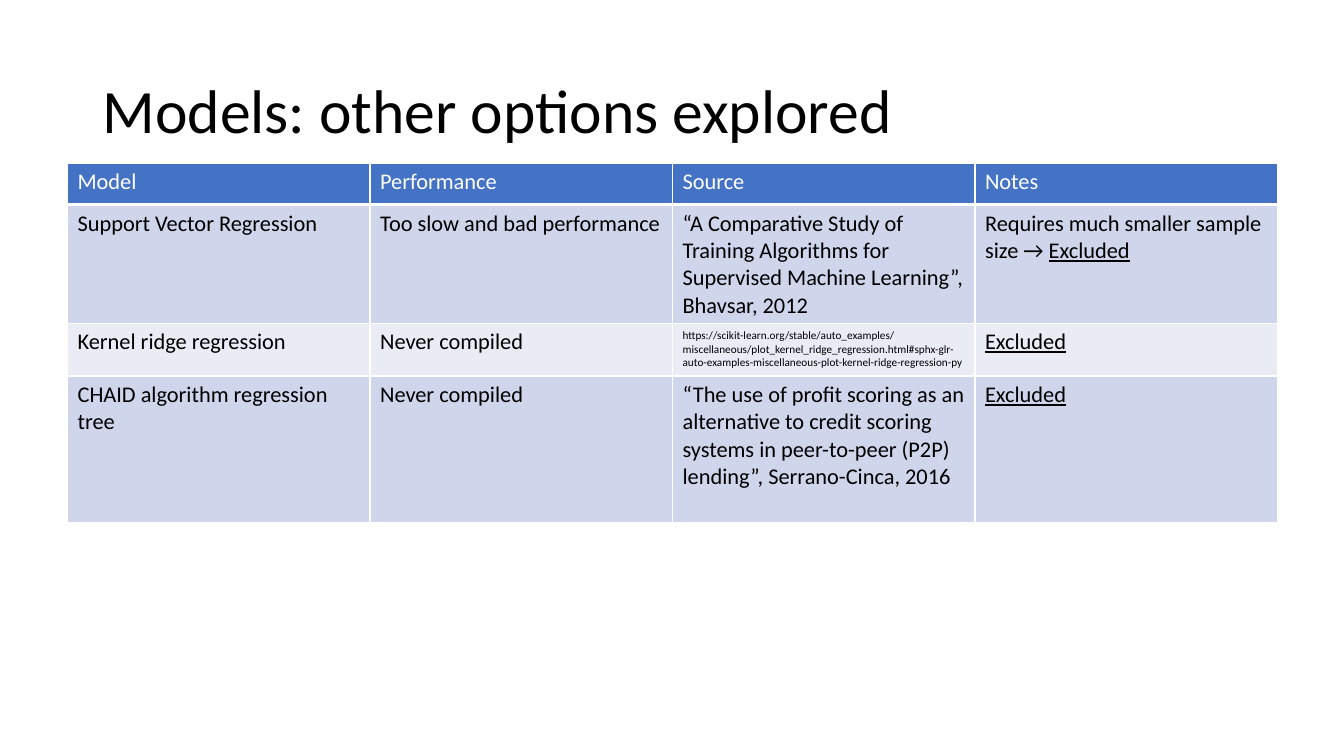
from dataclasses import dataclass

from lxml import etree
from pptx import Presentation
from pptx import util as u
from pptx.dml.color import RGBColor
from pptx.enum import text
from pptx.oxml import ns


@dataclass(frozen=True)
class Theme:
    font: str = "Calibri"
    ink: str = "000000"
    paper: str = "FFFFFF"
    header: str = "4472C4"
    bands: tuple = ("CFD5EA", "E9EBF5")
    title_size: int = 44
    body_size: int = 16
    link_size: int = 8
    rule: int = 1
    header_rule: int = 3


class Deck:
    """Holds the theme and the current slide; lengths are shares of the slide."""

    def __init__(self, theme, width=13.33, height=7.5):
        self.theme = theme
        self.file = Presentation()
        self.file.slide_width = u.Inches(width)
        self.file.slide_height = u.Inches(height)
        self.slide = self.file.slides.add_slide(self.file.slide_layouts[6])

    def across(self, share):
        return round(self.file.slide_width * share)

    def down(self, share):
        return round(self.file.slide_height * share)

    def style(self, paragraph, size, color):
        font = paragraph.font
        font.name, font.size, font.bold = self.theme.font, u.Pt(size), False
        font.color.rgb = RGBColor.from_string(color)

    def title(self, wording, left, top, width, height):
        box = self.slide.shapes.add_textbox(
            self.across(left), self.down(top), self.across(width), self.down(height))
        frame = box.text_frame
        frame.word_wrap = True
        frame.vertical_anchor = text.MSO_ANCHOR.MIDDLE
        heading = frame.paragraphs[0]
        heading.text = wording
        heading.line_spacing = 0.9
        self.style(heading, self.theme.title_size, self.theme.ink)

    def borders(self, cell, bottom):
        properties = cell._tc.get_or_add_tcPr()
        rule = self.theme.rule
        for side, points in (("L", rule), ("R", rule), ("T", rule), ("B", bottom)):
            line = etree.SubElement(properties, ns.qn(f"a:ln{side}"), w=str(u.Pt(points)))
            paint = etree.SubElement(line, ns.qn("a:solidFill"))
            etree.SubElement(paint, ns.qn("a:srgbClr"), val=self.theme.paper)

    def cell(self, cell, wording, fill, color, bottom):
        self.borders(cell, bottom)
        cell.fill.solid()
        cell.fill.fore_color.rgb = RGBColor.from_string(fill)
        paragraph = cell.text_frame.paragraphs[0]
        is_link = wording.startswith("https:")
        self.style(paragraph, self.theme.link_size if is_link else self.theme.body_size, color)
        # The verdict at the end of a note is underlined
        lead, verdict, _ = wording.partition("Excluded")
        if lead:
            paragraph.add_run().text = lead
        if verdict:
            run = paragraph.add_run()
            run.text = verdict
            run.font.underline = True

    def table(self, rows, left, top, width, heights):
        theme = self.theme
        table = self.slide.shapes.add_table(
            len(rows), len(rows[0]), self.across(left), self.down(top),
            self.across(width), self.down(sum(heights))).table
        for r, (row, height) in enumerate(zip(rows, heights)):
            table.rows[r].height = self.down(height)
            if r == 0:
                look = theme.header, theme.paper, theme.header_rule
            else:
                look = theme.bands[(r - 1) % 2], theme.ink, theme.rule
            for c, wording in enumerate(row):
                self.cell(table.cell(r, c), wording, *look)


MODELS = [
    ("Model", "Performance", "Source", "Notes"),
    ("Support Vector Regression", "Too slow and bad performance",
     "“A Comparative Study of Training Algorithms for Supervised Machine Learning”, "
     "Bhavsar, 2012",
     "Requires much smaller sample size → Excluded"),
    ("Kernel ridge regression", "Never compiled",
     "https://scikit-learn.org/stable/auto_examples/miscellaneous/"
     "plot_kernel_ridge_regression.html#sphx-glr-auto-examples-miscellaneous-"
     "plot-kernel-ridge-regression-py",
     "Excluded"),
    ("CHAID algorithm regression tree", "Never compiled",
     "“The use of profit scoring as an alternative to credit scoring systems in "
     "peer-to-peer (P2P) lending”, Serrano-Cinca, 2016",
     "Excluded"),
]


def main():
    deck = Deck(Theme())
    # Heading
    deck.title("Models: other options explored", 0.92 / 13.33, 0.4 / 7.5, 11.5 / 13.33, 1.45 / 7.5)
    # Comparison of the models
    heights = [inches / 7.5 for inches in (0.41, 1.18, 0.52, 1.46)]
    deck.table(MODELS, 0.67 / 13.33, 1.62 / 7.5, 12 / 13.33, heights)
    deck.file.save("out.pptx")


if __name__ == "__main__":
    main()
